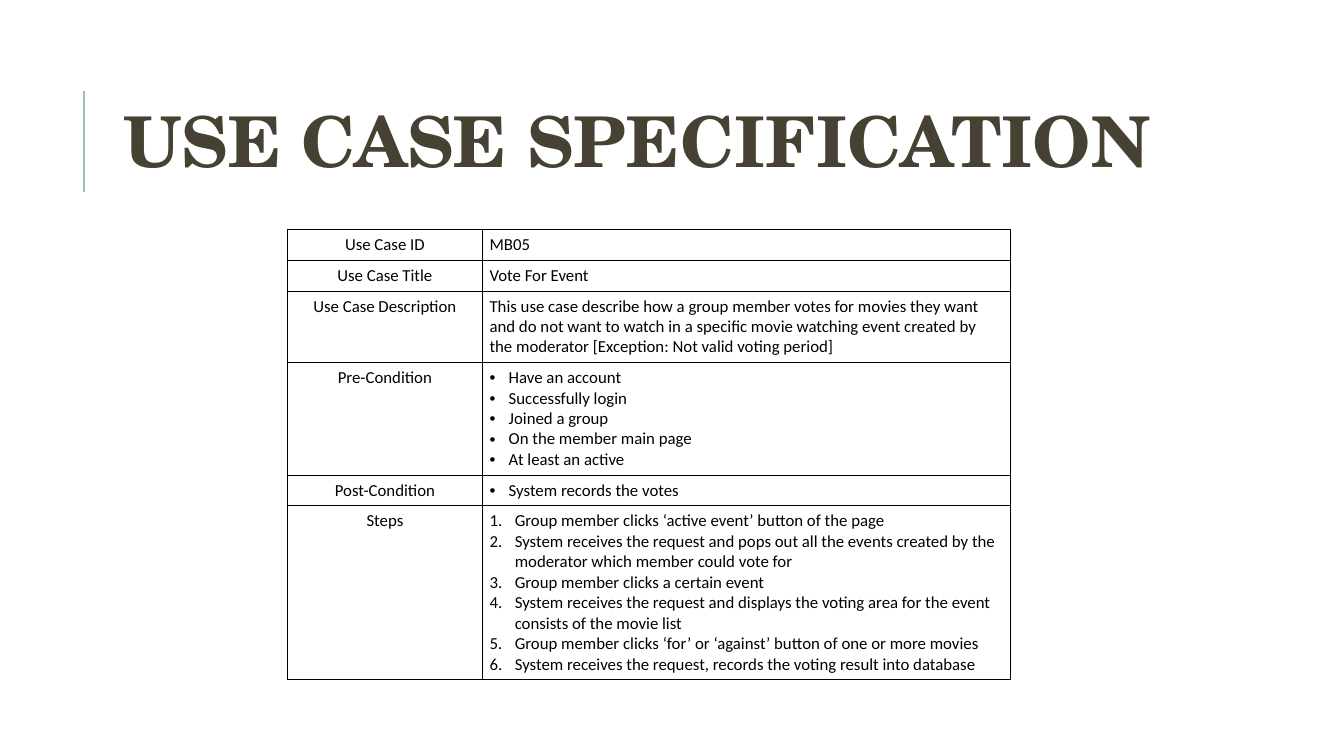
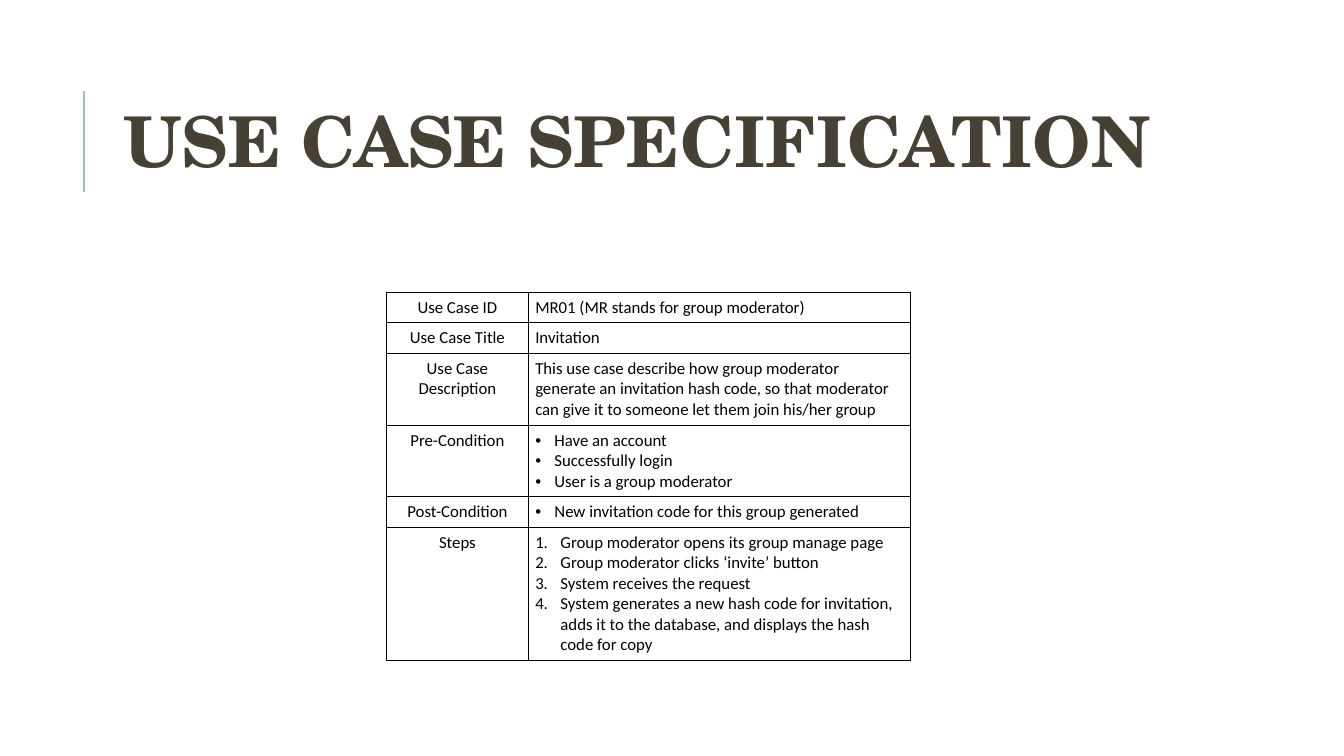
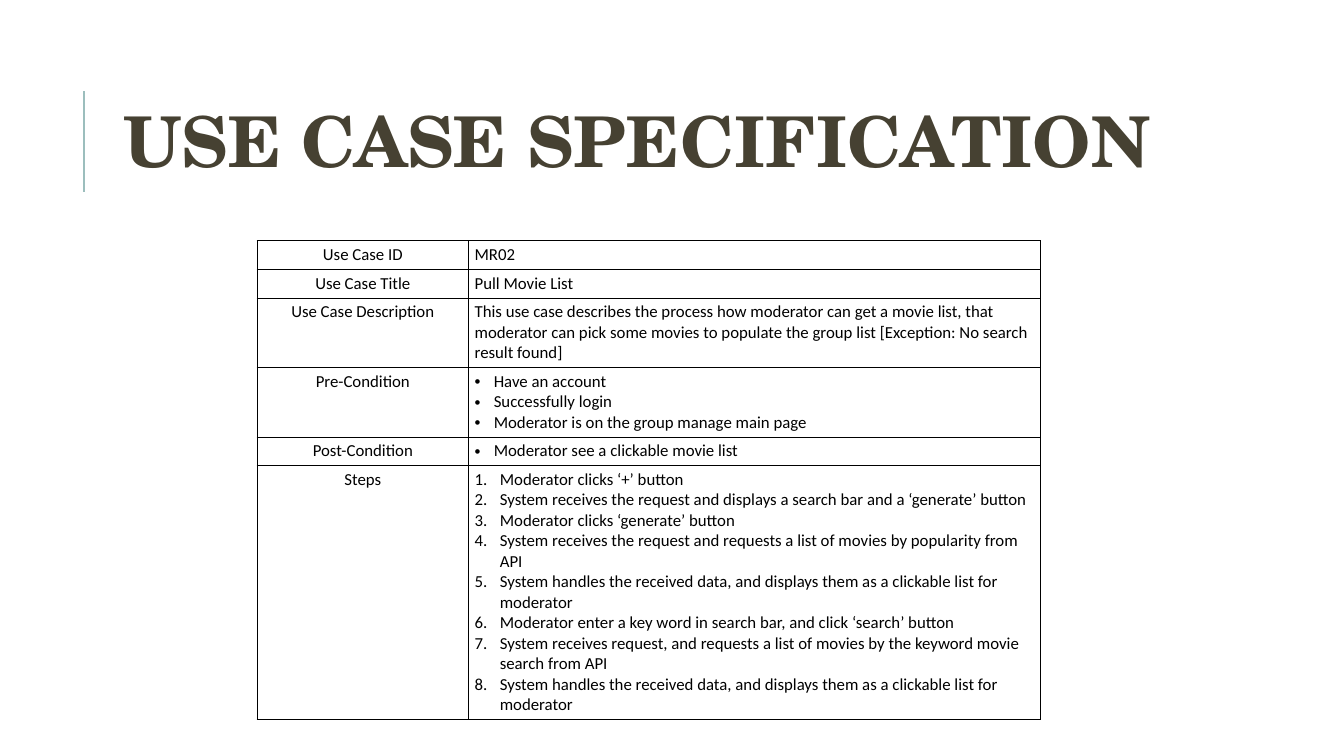
"""Build the use case specification slides."""
from dataclasses import dataclass

from lxml.etree import SubElement
from pptx import Presentation
from pptx.dml.color import RGBColor as Color
from pptx.enum.shapes import MSO_CONNECTOR as Connector
from pptx.enum.text import MSO_ANCHOR as Anchor, MSO_AUTO_SIZE as AutoSize, PP_ALIGN as Align
from pptx.oxml.ns import qn
from pptx.util import Inches, Pt


@dataclass(frozen=True)
class Theme:
    """Colours, fonts, sizes and frame shared by all slides."""
    ink: str = "000000"
    title_color: str = "464132"
    accent: str = "9CBEBD"
    title_font: str = "TeX Gyre Schola"
    body_font: str = "Calibri"
    title_size: float = 50
    body_size: float = 12
    line_height: float = 0.2
    border: float = 0.75
    title_left: float = 1.12
    title_top: float = 0.64
    title_width: float = 10.63
    title_height: float = 1.64
    label_share: float = 0.27


@dataclass(frozen=True)
class Bullet:
    """A list marker with its hanging indent."""
    tag: str
    attribute: str
    value: str
    indent: float


@dataclass(frozen=True)
class UseCase:
    """One specification with its table's top, width, margins and row line counts."""
    top: float
    width: float
    margins: tuple
    lines: tuple
    code: str
    name: str
    description: str
    before: tuple
    after: tuple
    steps: tuple

    def rows(self):
        """Return label, paragraphs and list marker for each row."""
        return (
            ("Use Case ID", (self.code,), None),
            ("Use Case Title", (self.name,), None),
            ("Use Case Description", (self.description,), None),
            ("Pre-Condition", self.before, DOT),
            ("Post-Condition", self.after, DOT),
            ("Steps", self.steps, NUMBER),
        )


THEME = Theme()
DOT = Bullet("a:buChar", "char", "•", 0.19)
NUMBER = Bullet("a:buAutoNum", "type", "arabicPeriod", 0.25)
HEADING = "USE CASE SPECIFICATION"

USE_CASES = (
    UseCase(
        2.28, 7.17, (0.07, 0.05), (1, 1, 3, 5, 1, 8),
        "MB05",
        "Vote For Event",
        "This use case describe how a group member votes for movies they want and do not "
        "want to watch in a specific movie watching event created by the moderator "
        "[Exception: Not valid voting period]",
        ("Have an account", "Successfully login", "Joined a group",
         "On the member main page", "At least an active"),
        ("System records the votes",),
        ("Group member clicks ‘active event’ button of the page",
         "System receives the request and pops out all the events created by the "
         "moderator which member could vote for",
         "Group member clicks a certain event",
         "System receives the request and displays the voting area for the event "
         "consists of the movie list",
         "Group member clicks ‘for’ or ‘against’ button of one or more movies",
         "System receives the request, records the voting result into database"),
    ),
    UseCase(
        2.9, 5.2, (0.07, 0.05), (1, 1, 3, 3, 1, 6),
        "MR01 (MR stands for group moderator)",
        "Invitation",
        "This use case describe how group moderator generate an invitation hash code, "
        "so that moderator can give it to someone let them join his/her group",
        ("Have an account", "Successfully login", "User is a group moderator"),
        ("New invitation code for this group generated",),
        ("Group moderator opens its group manage page",
         "Group moderator clicks ‘invite’ button",
         "System receives the request",
         "System generates a new hash code for invitation, adds it to the database, "
         "and displays the hash code for copy"),
    ),
    UseCase(
        2.39, 7.77, (0.06, 0.04), (1, 1, 3, 3, 1, 12),
        "MR02",
        "Pull Movie List",
        "This use case describes the process how moderator can get a movie list, that "
        "moderator can pick some movies to populate the group list "
        "[Exception: No search result found]",
        ("Have an account", "Successfully login",
         "Moderator is on the group manage main page"),
        ("Moderator see a clickable movie list",),
        ("Moderator clicks ‘+’ button",
         "System receives the request and displays a search bar and a ‘generate’ button",
         "Moderator clicks ‘generate’ button",
         "System receives the request and requests a list of movies by popularity from API",
         "System handles the received data, and displays them as a clickable list for moderator",
         "Moderator enter a key word in search bar, and click ‘search’ button",
         "System receives request, and requests a list of movies by the keyword movie "
         "search from API",
         "System handles the received data, and displays them as a clickable list for moderator"),
    ),
)


def style_font(font, name, size, color, bold=False):
    """Set the face, size, colour and weight of a font."""
    font.name, font.size, font.bold = name, Pt(size), bold
    font.color.rgb = Color.from_string(color)


def prepare_layout(layout):
    """Place the title on the layout and clear its footer placeholders."""
    for holder in list(layout.placeholders):
        if holder.placeholder_format.idx:
            layout.shapes.element.remove(holder.element)
    title = layout.placeholders[0]
    title.left, title.top = Inches(THEME.title_left), Inches(THEME.title_top)
    title.width, title.height = Inches(THEME.title_width), Inches(THEME.title_height)
    title.text_frame.vertical_anchor = Anchor.MIDDLE
    title.text_frame.auto_size = AutoSize.NONE


def add_accent_rule(page):
    """Draw the title's upright rule and move it to the page's layout."""
    rule = page.shapes.add_connector(
        Connector.STRAIGHT, Inches(0.83), Inches(1.9), Inches(0.83), Inches(0.9))
    rule.line.color.rgb = Color.from_string(THEME.accent)
    rule.line.width = Pt(1.5)
    SubElement(rule.element.spPr, qn("a:effectLst"))
    page.slide_layout.shapes.element.append(rule.element)


def write_title(page, text):
    """Fill and format the title placeholder."""
    frame = page.shapes.title.text_frame
    frame.text = text
    para = frame.paragraphs[0]
    para.alignment, para.line_spacing = Align.LEFT, 0.8
    style_font(para.font, THEME.title_font, THEME.title_size, THEME.title_color, True)


def set_bullet(para, bullet):
    """Give a paragraph a list marker and a hanging indent."""
    properties = para._p.get_or_add_pPr()
    properties.set("marL", str(Inches(bullet.indent)))
    properties.set("indent", str(-Inches(bullet.indent)))
    SubElement(properties, qn("a:buFont"), typeface="Arial" if bullet is DOT else "+mj-lt")
    SubElement(properties, qn(bullet.tag), {bullet.attribute: bullet.value})


def set_borders(cell):
    """Outline all four sides of a cell."""
    properties = cell._tc.get_or_add_tcPr()
    for side in ("a:lnL", "a:lnR", "a:lnT", "a:lnB"):
        line = SubElement(properties, qn(side), w=str(Pt(THEME.border)))
        fill = SubElement(line, qn("a:solidFill"))
        SubElement(fill, qn("a:srgbClr"), val=THEME.ink)


def fill_cell(cell, texts, margins, alignment=Align.LEFT, bullet=None):
    """Write paragraphs into an outlined cell without fill."""
    set_borders(cell)
    cell.fill.background()
    cell.margin_left = cell.margin_right = Inches(margins[0])
    cell.margin_top = cell.margin_bottom = Inches(margins[1])
    cell.text = "\n".join(texts)
    for para in cell.text_frame.paragraphs:
        para.alignment = alignment
        if bullet:
            set_bullet(para, bullet)
        style_font(para.font, THEME.body_font, THEME.body_size, THEME.ink)


def add_use_case_table(page, case):
    """Add a two-column table centred under the title."""
    heights = [count * THEME.line_height + 2 * case.margins[1] for count in case.lines]
    left = THEME.title_left + (THEME.title_width - case.width) / 2
    table = page.shapes.add_table(
        len(heights), 2, Inches(left), Inches(case.top),
        Inches(case.width), Inches(sum(heights))).table
    table.first_row = table.horz_banding = False
    for column, share in zip(table.columns, (THEME.label_share, 1 - THEME.label_share)):
        column.width = Inches(case.width * share)
    for row, height, (label, texts, bullet) in zip(table.rows, heights, case.rows()):
        row.height = Inches(height)
        fill_cell(row.cells[0], (label,), case.margins, Align.CENTER)
        fill_cell(row.cells[1], texts, case.margins, bullet=bullet)


def main():
    """Build and save the deck."""
    deck = Presentation()
    deck.slide_width, deck.slide_height = Inches(13.33), Inches(7.5)
    layout = deck.slide_layouts.get_by_name("Title Only")
    prepare_layout(layout)
    for number, case in enumerate(USE_CASES):
        page = deck.slides.add_slide(layout)
        if number == 0:
            add_accent_rule(page)
        write_title(page, HEADING)
        add_use_case_table(page, case)
    deck.save("out.pptx")


if __name__ == "__main__":
    main()
